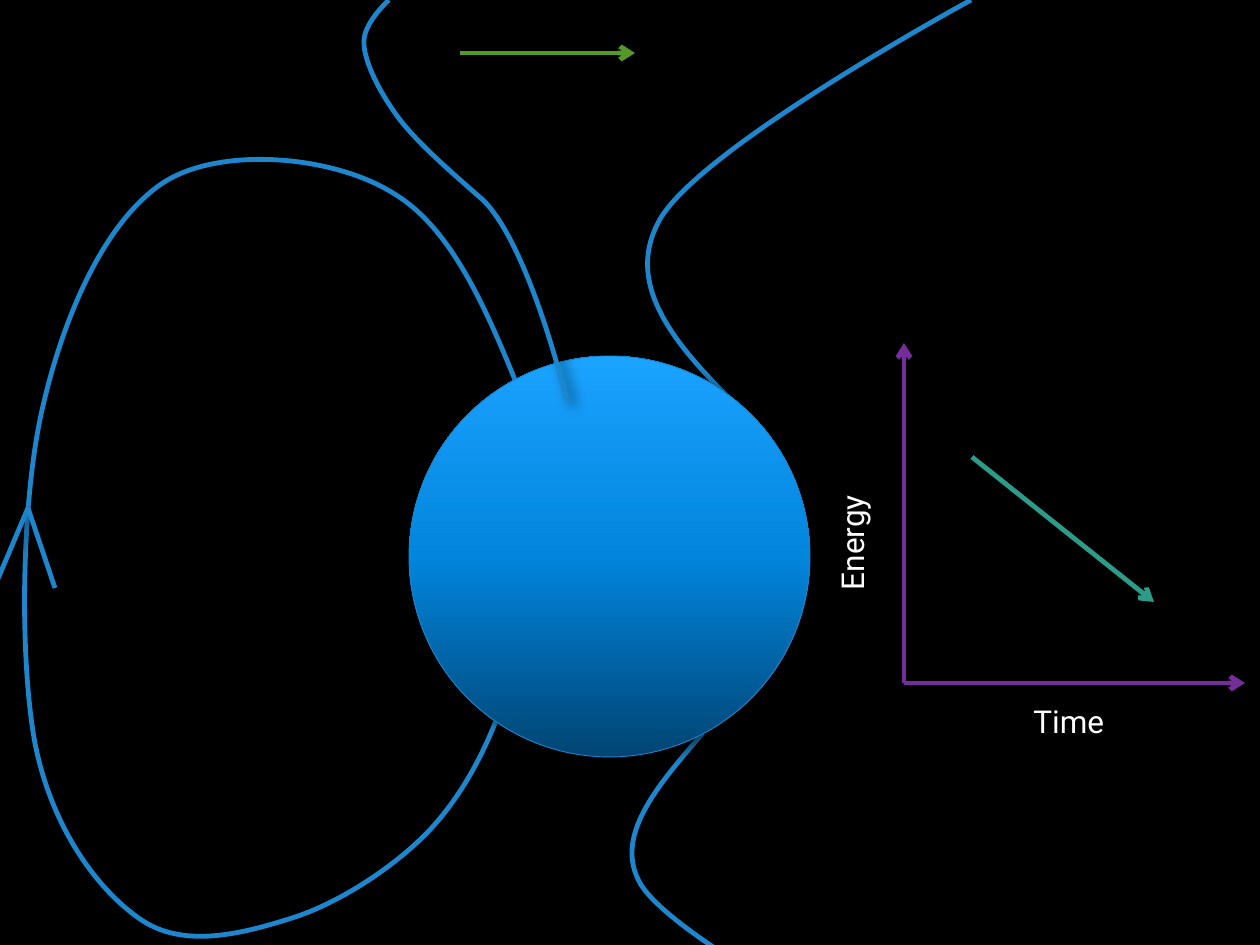
import copy

import pptx
import pptx.dml.color
import pptx.enum.shapes
import pptx.oxml
import pptx.oxml.ns
import pptx.util

RGBColor = pptx.dml.color.RGBColor
qn = pptx.oxml.ns.qn

PX = 914400 // 126
BLACK = RGBColor(0x00, 0x00, 0x00)
WHITE = RGBColor(0xFF, 0xFF, 0xFF)
FIELD_BLUE = RGBColor(0x1D, 0x86, 0xCD)
SPHERE_EDGE = RGBColor(0x18, 0x84, 0xCD)
GREEN = RGBColor(0x55, 0x99, 0x2B)
PURPLE = RGBColor(0x73, 0x2E, 0x9A)
TEAL = RGBColor(0x2C, 0x9C, 0x89)
SPHERE_GRADIENT = [
    (0, RGBColor(0x01, 0x45, 0x73)),
    (0.5, RGBColor(0x02, 0x85, 0xDD)),
    (1, RGBColor(0x1A, 0xA3, 0xFF)),
]
LINE_WIDTH = 2.75

# Bezier field lines: a start point, then three points for every segment
FIELD_LINES_BEHIND = [
    [(756, 425), (689, 359), (621, 294), (658, 223),
     (693, 151), (971, 0), (971, 0)],
    [(703, 733), (659, 784), (616, 833), (638, 879),
     (659, 927), (833, 1018), (833, 1018)],
    [(524, 402), (489, 315), (454, 229), (393, 193),
     (334, 156), (224, 146), (166, 181),
     (108, 217), (66, 309), (44, 402),
     (21, 495), (19, 656), (35, 743),
     (52, 829), (98, 890), (140, 919),
     (183, 949), (241, 934), (289, 919),
     (336, 905), (392, 869), (428, 832),
     (465, 793), (490, 743), (508, 688),
     (524, 633), (533, 500), (533, 500)],
]
FIELD_LINE_IN_FRONT = [
    (567, 401), (546, 318), (515, 231), (483, 200),
    (450, 171), (421, 146), (401, 121),
    (381, 95), (365, 64), (364, 44),
    (362, 24), (389, 0), (389, 0)]
SPHERE = (409, 356, 401, 401)

AXIS_ORIGIN = (904, 683)
FIELD_ARROW_TIP = (28, 508)
# start, end, colour, arrowhead
LINES = [
    ((460, 53), (635, 53), GREEN, True),
    (FIELD_ARROW_TIP, (-6, 588), FIELD_BLUE, False),
    (FIELD_ARROW_TIP, (55, 588), FIELD_BLUE, False),
    (AXIS_ORIGIN, (904, 343), PURPLE, True),
    (AXIS_ORIGIN, (1245, 683), PURPLE, True),
    ((972, 457), (1154, 602), TEAL, True),
]
# text, box, rotation
AXIS_LABELS = [
    ("Time", (1021, 696, 107, 50), 0),
    ("Energy", (781, 507, 141, 50), 270),
]

SHADOW = (
    '<a:effectLst xmlns:a="http://schemas.openxmlformats.org/drawingml/2006/main">'
    '<a:outerShdw blurRad="88900" dist="50800" dir="2100000" algn="tl" rotWithShape="0">'
    '<a:srgbClr val="000000"><a:alpha val="55000"/></a:srgbClr>'
    '</a:outerShdw></a:effectLst>')


def emu(lengths):
    return [length * PX for length in lengths]


def style_line(shape, color, width=LINE_WIDTH):
    """Set the line, then add the shadow that every drawn object has."""
    shape.line.color.rgb = color
    shape.line.width = pptx.util.Pt(width)
    shape._element.spPr.append(pptx.oxml.parse_xml(SHADOW))


def curve_bounds(points, steps=20):
    """Return left, top, right and bottom of a chain of cubic segments."""
    samples = []
    for first in range(0, len(points) - 1, 3):
        for step in range(steps + 1):
            t = step / steps
            weights = ((1 - t) ** 3, 3 * t * (1 - t) ** 2, 3 * t * t * (1 - t), t ** 3)
            segment = points[first:first + 4]
            samples.append([sum(w * point[axis] for w, point in zip(weights, segment))
                            for axis in (0, 1)])
    xs, ys = zip(*samples)
    return round(min(xs)), round(min(ys)), round(max(xs)), round(max(ys))


def add_field_line(slide, points):
    left, top, right, bottom = curve_bounds(points)
    builder = slide.shapes.build_freeform(left, top, scale=PX)
    builder.add_line_segments([(right, bottom)], close=False)
    shape = builder.convert_to_shape()
    shape.fill.background()
    style_line(shape, FIELD_BLUE)

    outline = shape._element.find(".//" + qn("a:path"))
    for child in list(outline):
        outline.remove(child)

    def add_command(tag, command_points):
        command = outline.makeelement(qn(tag), {})
        outline.append(command)
        for x, y in command_points:
            position = {"x": str(x - left), "y": str(y - top)}
            command.append(command.makeelement(qn("a:pt"), position))

    add_command("a:moveTo", points[:1])
    for first in range(1, len(points), 3):
        add_command("a:cubicBezTo", points[first:first + 3])


def add_sphere(slide):
    sphere = slide.shapes.add_shape(pptx.enum.shapes.MSO_SHAPE.OVAL, *emu(SPHERE))
    sphere.fill.gradient()
    sphere.fill.gradient_angle = 90
    stop_list = sphere._element.spPr.find(".//" + qn("a:gsLst"))
    stop_list.append(copy.deepcopy(stop_list[0]))
    for stop, (position, color) in zip(sphere.fill.gradient_stops, SPHERE_GRADIENT):
        stop.position = position
        stop.color.rgb = color
    style_line(sphere, SPHERE_EDGE, 0.5)


def add_line(slide, start, end, color, arrowhead):
    connector = slide.shapes.add_connector(
        pptx.enum.shapes.MSO_CONNECTOR.STRAIGHT, *emu(start + end))
    style_line(connector, color)
    if arrowhead:
        line = connector._element.spPr.find(qn("a:ln"))
        line.append(line.makeelement(qn("a:tailEnd"), {"type": "arrow"}))


def add_axis_label(slide, text, box, rotation):
    label = slide.shapes.add_textbox(*emu(box))
    label.rotation = rotation
    label.text_frame.word_wrap = True
    label.text_frame.text = text
    font = label.text_frame.paragraphs[0].runs[0].font
    font.name = "Roboto"
    font.size = pptx.util.Pt(18)
    font.color.rgb = WHITE


def main():
    presentation = pptx.Presentation()
    presentation.slide_width = pptx.util.Inches(10)
    presentation.slide_height = pptx.util.Inches(7.5)
    slide = presentation.slides.add_slide(presentation.slide_layouts[6])
    slide.background.fill.solid()
    slide.background.fill.fore_color.rgb = BLACK

    for points in FIELD_LINES_BEHIND:
        add_field_line(slide, points)
    add_sphere(slide)
    add_field_line(slide, FIELD_LINE_IN_FRONT)
    for line in LINES:
        add_line(slide, *line)
    for label in AXIS_LABELS:
        add_axis_label(slide, *label)

    presentation.save("out.pptx")


if __name__ == "__main__":
    main()
